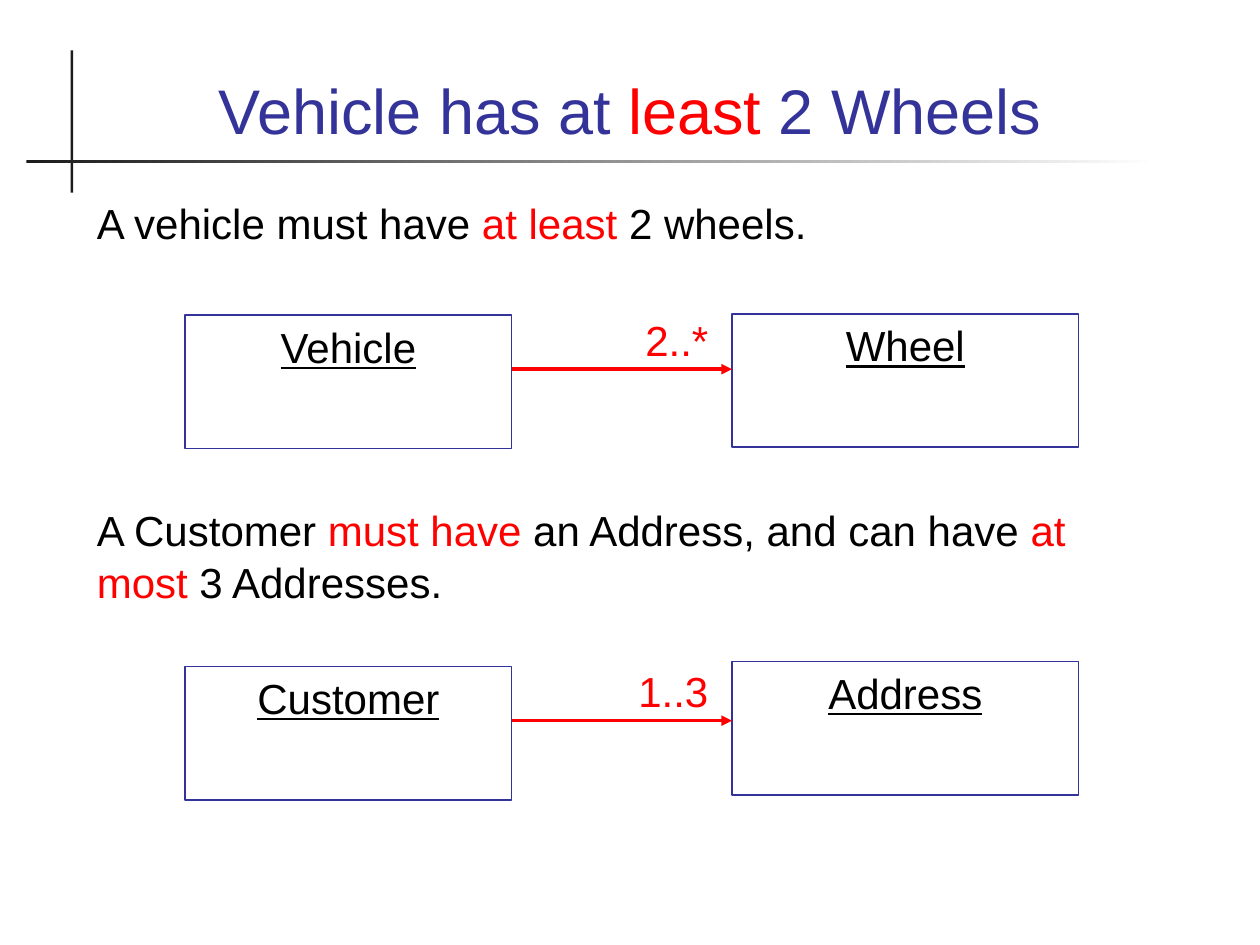
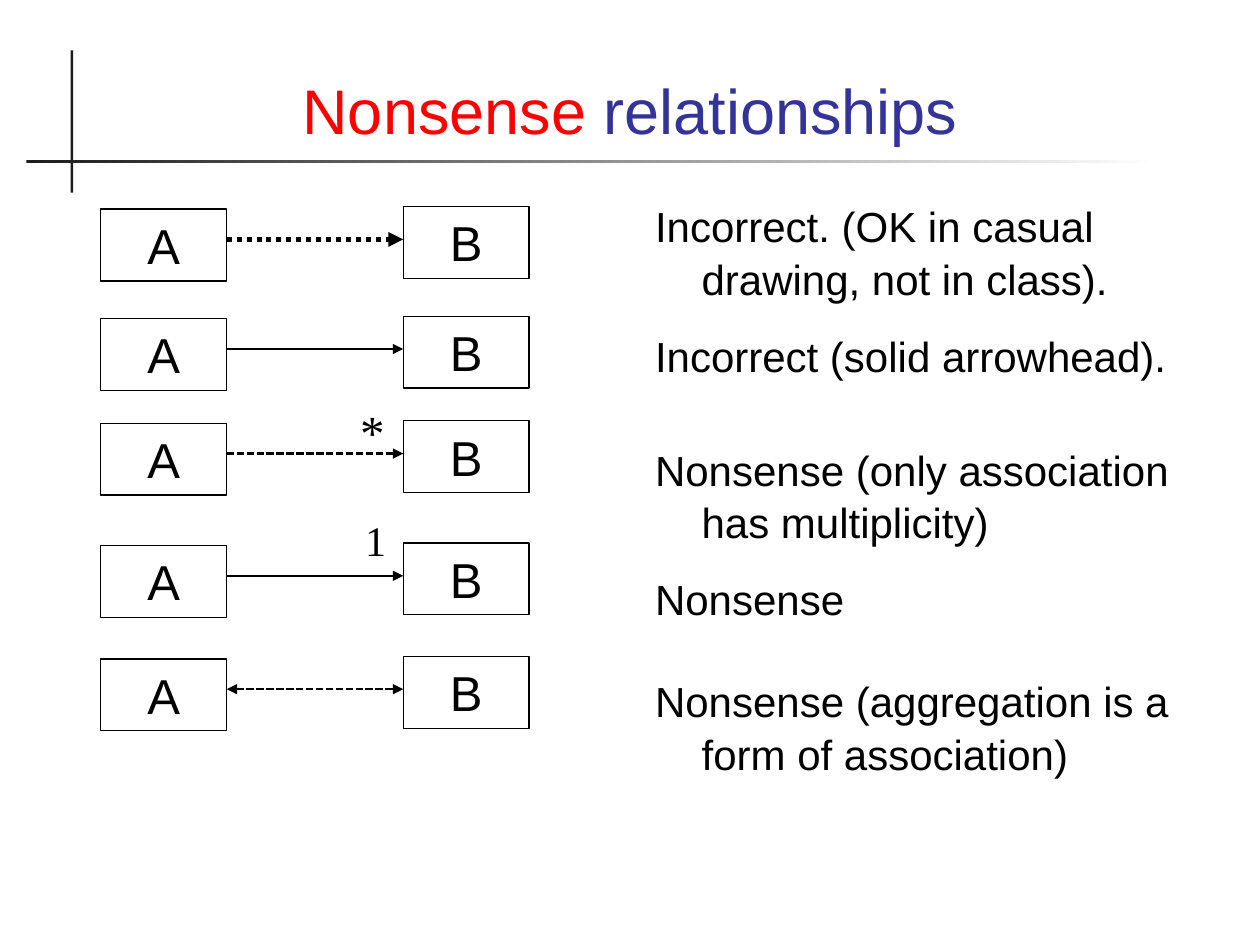
import pptx
import pptx.dml.color
import pptx.enum.dml
import pptx.enum.shapes
import pptx.enum.text
import pptx.util
from lxml import etree
from pptx.util import Inches

BLUE, RED, BLACK = "333399", "FF0000", "000000"
RULE_DARK, WHITE = "1C1C1C", "FFFFFF"
SANS, SERIF = "Arial", "Times New Roman"
LINE_SPACING = 1.04
ALIGN = pptx.enum.text.PP_ALIGN
ANCHOR = pptx.enum.text.MSO_ANCHOR
DASH = pptx.enum.dml.MSO_LINE
RECTANGLE = pptx.enum.shapes.MSO_SHAPE.RECTANGLE
STRAIGHT = pptx.enum.shapes.MSO_CONNECTOR.STRAIGHT


def rgb(hex_color):
    return pptx.dml.color.RGBColor.from_string(hex_color)


def style_run(run, size, color=BLACK, font=SANS, underline=None):
    run.font.size = pptx.util.Pt(size)
    run.font.name = font
    run.font.color.rgb = rgb(color)
    run.font.underline = underline


def add_text(slide, left, top, width, height, phrases, size,
             align=ALIGN.LEFT, font=SANS, anchor=ANCHOR.TOP):
    """Place one paragraph made of (wording, colour) phrases."""
    frame = slide.shapes.add_textbox(
        Inches(left), Inches(top), Inches(width), Inches(height)).text_frame
    frame.word_wrap = True
    frame.vertical_anchor = anchor
    paragraph = frame.paragraphs[0]
    paragraph.alignment = align
    paragraph.line_spacing = LINE_SPACING
    for wording, color in phrases:
        run = paragraph.add_run()
        run.text = wording
        style_run(run, size, color, font)


def add_rule(slide, left, top, width, height):
    rule = slide.shapes.add_shape(
        RECTANGLE, Inches(left), Inches(top), Inches(width), Inches(height))
    rule.shadow.inherit = False
    rule.line.fill.background()
    return rule


def add_titled_slide(deck, title):
    """Add a blank slide with the crossing rules and its title."""
    slide = deck.slides.add_slide(deck.slide_layouts[6])
    upright = add_rule(slide, 0.56, 0.4, 0.02, 1.13)
    upright.fill.solid()
    upright.fill.fore_color.rgb = rgb(RULE_DARK)
    fading = add_rule(slide, 0.21, 1.27, 8.98, 0.02)
    fading.fill.gradient()
    fading.fill.gradient_angle = 0
    for stop, color in zip(fading.fill.gradient_stops, (RULE_DARK, WHITE)):
        stop.color.rgb = rgb(color)
    add_text(slide, 0.67, 0.28, 8.66, 0.94, title, 36,
             ALIGN.CENTER, anchor=ANCHOR.BOTTOM)
    return slide


def add_class_box(slide, left, top, width, height, name, size,
                  outline=BLACK, weight=0.75, underline=None):
    box = slide.shapes.add_shape(
        RECTANGLE, Inches(left), Inches(top), Inches(width), Inches(height))
    box.shadow.inherit = False
    box.fill.background()
    box.line.color.rgb = rgb(outline)
    box.line.width = pptx.util.Pt(weight)
    frame = box.text_frame
    frame.word_wrap = True
    frame.vertical_anchor = ANCHOR.TOP
    frame.text = name
    frame.paragraphs[0].alignment = ALIGN.CENTER
    style_run(frame.paragraphs[0].runs[0], size, underline=underline)


def add_arrow(slide, start, end, y, color, weight, dash=None, ends=("tailEnd",)):
    arrow = slide.shapes.add_connector(
        STRAIGHT, Inches(start), Inches(y), Inches(end), Inches(y))
    arrow.line.color.rgb = rgb(color)
    arrow.line.width = pptx.util.Pt(weight)
    if dash:
        arrow.line.dash_style = dash
    properties = arrow.element.spPr
    outline = properties.find(pptx.oxml.ns.qn("a:ln"))
    for end_name in ends:
        etree.SubElement(outline, pptx.oxml.ns.qn("a:" + end_name), type="triangle")
    etree.SubElement(properties, pptx.oxml.ns.qn("a:effectLst"))


def add_association(slide, source, source_top, target, target_top,
                    multiplicity):
    add_class_box(slide, 1.47, source_top, 2.59, 1.06, source, 24, BLUE, 1, True)
    add_class_box(slide, 5.81, target_top, 2.75, 1.06, target, 24, BLUE, 1, True)
    arrow_y = source_top + 0.43
    add_arrow(slide, 4.06, 5.81, arrow_y, RED, 2)
    add_text(slide, 4.6, arrow_y - 0.5, 1.12, 0.5, [(multiplicity, RED)], 24,
             ALIGN.RIGHT)


def add_verdicts(slide, verdicts):
    """List (space before, wording) verdicts with hanging indents."""
    frame = slide.shapes.add_textbox(
        Inches(5.1), Inches(1.53), Inches(4.28), Inches(4.87)).text_frame
    frame.word_wrap = True
    frame.text = "\n".join(wording for _, wording in verdicts)
    for paragraph, (space, _) in zip(frame.paragraphs, verdicts):
        paragraph.line_spacing = LINE_SPACING
        paragraph.space_before = pptx.util.Pt(space)
        indents = paragraph._p.get_or_add_pPr()
        indents.set("marL", str(Inches(0.37)))
        indents.set("indent", str(Inches(-0.37)))
        style_run(paragraph.runs[0], 24)


def build_multiplicity_slide(deck):
    slide = add_titled_slide(deck, [
        ("Vehicle has at ", BLUE), ("least", RED), (" 2 Wheels", BLUE)])
    add_text(slide, 0.67, 1.5, 8.66, 1, [
        ("A vehicle must have ", BLACK), ("at least", RED),
        (" 2 wheels.", BLACK)], 24)
    add_association(slide, "Vehicle", 2.5, "Wheel", 2.49, "2..*")
    add_text(slide, 0.67, 3.94, 8.66, 1, [
        ("A Customer ", BLACK), ("must have", RED),
        (" an Address, and can have ", BLACK), ("at most", RED),
        (" 3 Addresses.", BLACK)], 24)
    add_association(slide, "Customer", 5.29, "Address", 5.25, "1..3")


def build_nonsense_slide(deck):
    slide = add_titled_slide(deck, [("Nonsense", RED), (" relationships", BLUE)])
    add_verdicts(slide, [
        (0, "Incorrect. (OK in casual drawing, not in class)."),
        (14.2, "Incorrect (solid arrowhead)."),
        (35, "Nonsense (only association has multiplicity)"),
        (14.2, "Nonsense"),
        (28.4, "Nonsense (aggregation is a form of association)")])
    one_way, both_ways = ("tailEnd",), ("headEnd", "tailEnd")
    relationships = [
        (1.66, 2.83, DASH.ROUND_DOT, one_way),
        (2.53, 1.42, None, one_way),
        (3.36, 1.42, DASH.SQUARE_DOT, one_way),
        (4.33, 1.42, None, one_way),
        (5.23, 1.42, DASH.SQUARE_DOT, both_ways)]
    for top, weight, dash, ends in relationships:
        add_class_box(slide, 0.8, top, 1, 0.57, "A", 28)
        add_class_box(slide, 3.2, top - 0.02, 1, 0.57, "B", 28)
        add_arrow(slide, 1.8, 3.2, top + 0.24, BLACK, weight, dash, ends)
    add_text(slide, 2.76, 3.12, 0.4, 0.57, [("*", BLACK)], 28, font=SERIF)
    add_text(slide, 2.8, 4.02, 0.4, 0.5, [("1", BLACK)], 24, font=SERIF)


def main():
    deck = pptx.Presentation()
    deck.slide_width, deck.slide_height = Inches(10), Inches(7.5)
    build_multiplicity_slide(deck)
    build_nonsense_slide(deck)
    deck.save("out.pptx")


if __name__ == "__main__":
    main()
